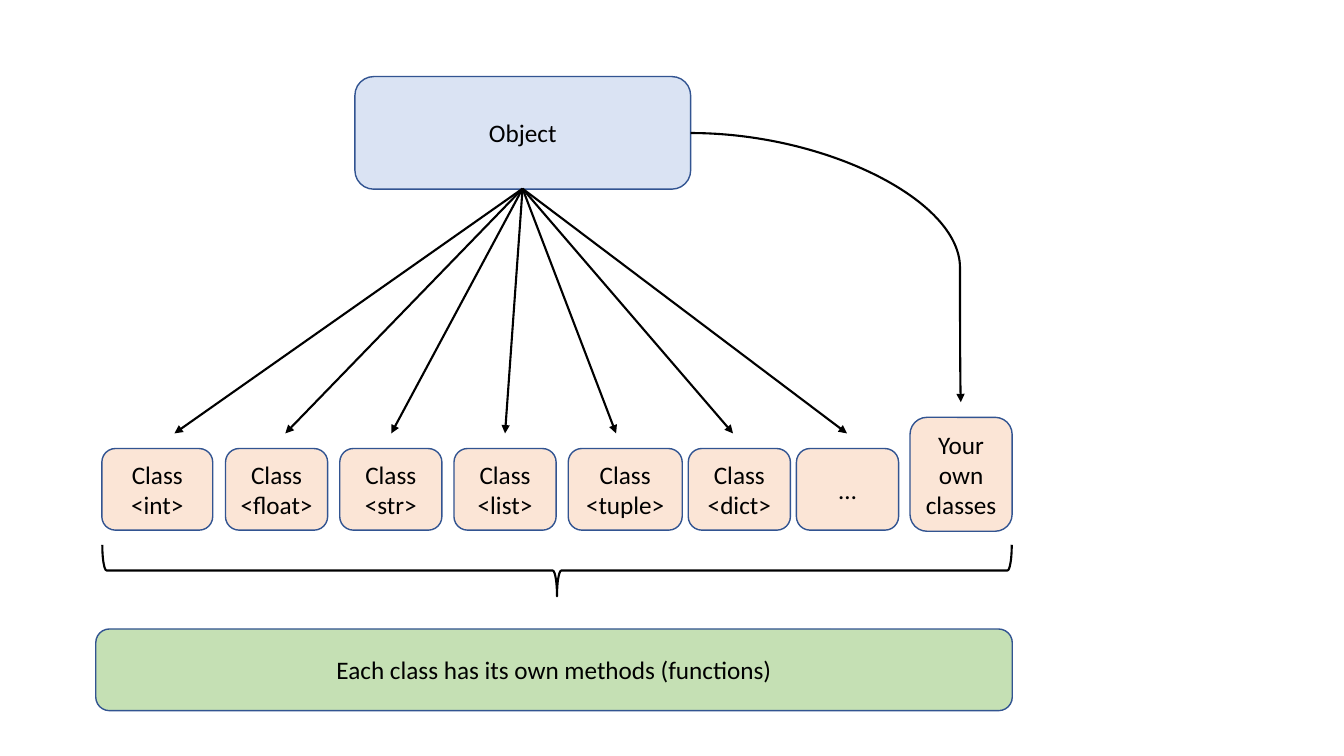
from lxml import etree
from pptx import Presentation
from pptx import util as u
from pptx.dml import color
from pptx.enum import shapes, text
from pptx.oxml import ns

deck = Presentation()
deck.slide_width, deck.slide_height = u.Inches(13.33), u.Inches(7.5)
col, row = deck.slide_width / 100, deck.slide_height / 100
slide = deck.slides.add_slide(deck.slide_layouts[6])
kit = slide.shapes
kind = shapes.MSO_SHAPE
link = shapes.MSO_CONNECTOR


def paint(part, tint):
    part.solid()
    part.fore_color.rgb = color.RGBColor.from_string(tint)


def box(left, top, wide, high, tint, words):
    card = kit.add_shape(kind.ROUNDED_RECTANGLE, int(left * col), int(top * row),
                         int(wide * col), int(high * row))
    card.shadow.inherit = False
    paint(card.fill, tint)
    paint(card.line.fill, "325491")
    card.line.width = u.Pt(1)
    frame = card.text_frame
    frame.word_wrap = True
    frame.vertical_anchor = text.MSO_ANCHOR.MIDDLE
    frame.margin_left = frame.margin_right = u.Inches(0.08)
    for i, line in enumerate(words):
        para = frame.add_paragraph() if i else frame.paragraphs[0]
        para.alignment = text.PP_ALIGN.CENTER
        run = para.add_run()
        run.text = line
        run.font.name, run.font.size = "Calibri", u.Pt(18)
        paint(run.font.fill, "000000")


left = 7.58
for name, wide, gap in [("int", 8.25, 0.95), ("float", 7.6, 0.9),
                        ("str", 7.6, 0.9), ("list", 7.6, 0.9),
                        ("tuple", 8.48, 0.45), ("dict", 7.6, 0.45),
                        ("", 7.6, 0.85)]:
    box(left, 59.33, wide, 10.8, "FBE5D6",
        ["Class", f"<{name}>"] if name else ["…"])
    left += wide + gap
box(left, 55.2, 7.6, 15.07, "FBE5D6", ["Your own classes"])
box(26.41, 10.13, 24.98, 14.9, "DAE3F3", ["Object"])
box(7.13, 83.2, 68.19, 10.8, "C5E0B4",
    ["Each class has its own methods (functions)"])

paths = [(link.STRAIGHT, 38.88, 24.96, tip, 57.33)
         for tip in (12.98, 21.23, 29.11, 37.58, 45.84, 54.54, 63.02)]
paths.append((link.CURVE, 51.39, 17.6, 71.49, 53.2))
for form, x, y, tip, end in paths:
    arrow = kit.add_connector(form, int(x * col), int(y * row),
                              int(tip * col), int(end * row))
    paint(arrow.line.fill, "000000")
    arrow.line.width = u.Pt(1.5)
    prop = arrow._element.spPr
    etree.SubElement(prop.find(ns.qn("a:ln")), ns.qn("a:tailEnd"), type="triangle")
    etree.SubElement(prop, ns.qn("a:effectLst"))
    if form == link.CURVE:
        bend = prop.find(ns.qn("a:prstGeom")).get_or_add_avLst()
        etree.SubElement(bend, ns.qn("a:gd"), name="adj1", fmla="val 99700")

brace = kit.add_shape(kind.LEFT_BRACE, int(39.53 * col), int(15.33 * row),
                      int(3.83 * col), int(120.27 * row))
brace.rotation = 270
brace.shadow.inherit = False
brace.fill.background()
paint(brace.line.fill, "000000")
brace.line.width = u.Pt(1.5)

deck.save("out.pptx")
